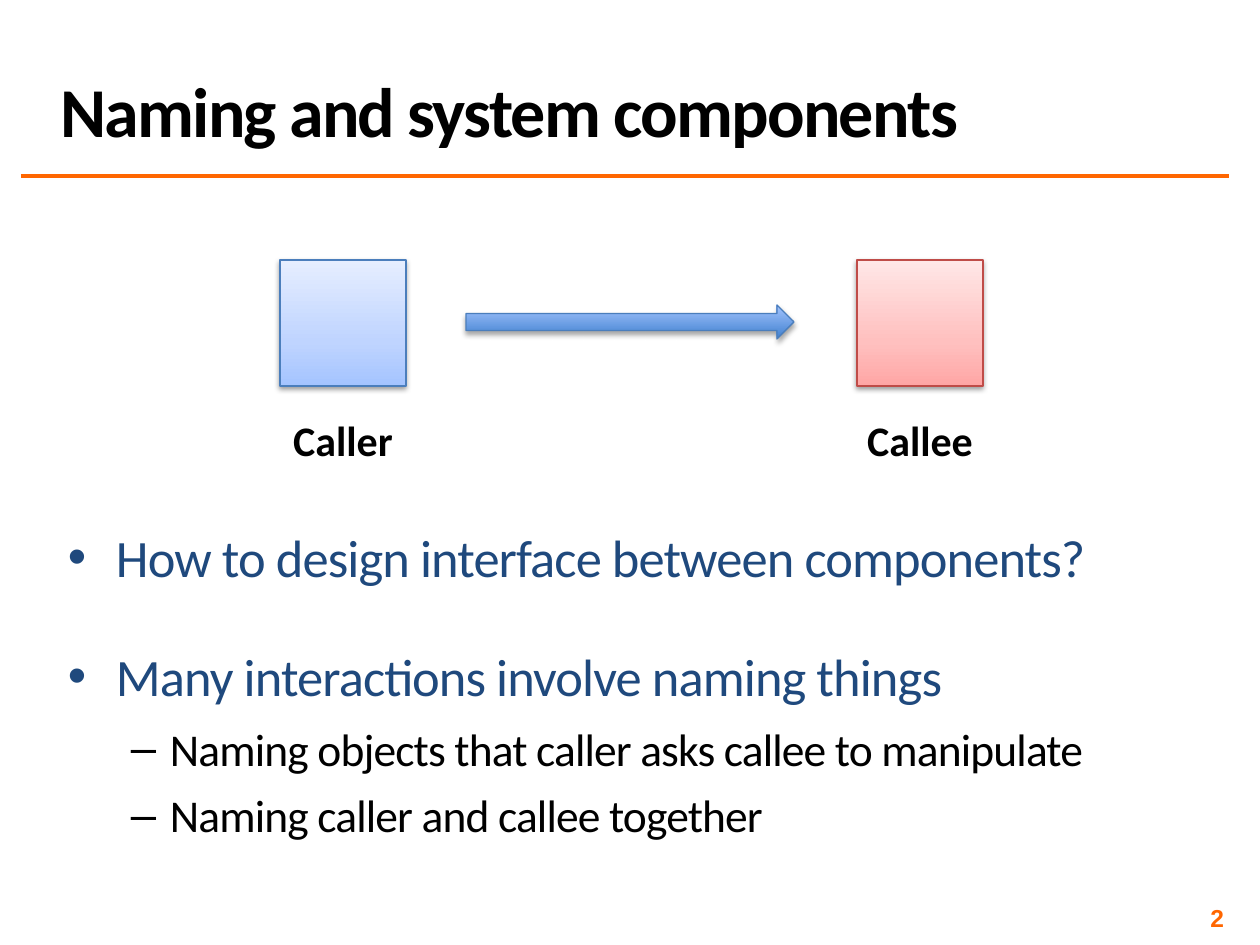
from lxml import etree
from pptx import Presentation
from pptx.dml.color import RGBColor
from pptx.enum.shapes import MSO_CONNECTOR, MSO_SHAPE
from pptx.enum.text import MSO_ANCHOR, PP_ALIGN
from pptx.oxml import parse_xml
from pptx.oxml.ns import qn
from pptx.util import Pt

LEFT, CENTER, RIGHT = PP_ALIGN.LEFT, PP_ALIGN.CENTER, PP_ALIGN.RIGHT
TOP, MIDDLE, BOTTOM = MSO_ANCHOR.TOP, MSO_ANCHOR.MIDDLE, MSO_ANCHOR.BOTTOM
RECTANGLE, RIGHT_ARROW = MSO_SHAPE.RECTANGLE, MSO_SHAPE.RIGHT_ARROW
NAMESPACE = 'xmlns:a="http://schemas.openxmlformats.org/drawingml/2006/main"'

EMU_PER_PX = 914400 // 126
SLIDE_SIZE = (1260, 945)
BLACK, NAVY, ORANGE = "000000", "1F497D", "FF6600"
BLUE_LINE, RED_LINE = "4B7EBC", "BF4C48"

TITLE = "Naming and system components"
SLIDE_NUMBER = "2"
# label, left edge, outline, gradient stops from bottom to top
COMPONENTS = [
    ("Caller", 280, BLUE_LINE, [(0, "A4C4FF"), (35, "BFD4FF"), (100, "E6EEFF")]),
    ("Callee", 857, RED_LINE, [(0, "FFA6A5"), (35, "FFC0BF"), (100, "FFE7E7")]),
]
COMPONENT_TOP, COMPONENT_SIDE = 260, 126
LABEL_TOP, LABEL_WIDTH, LABEL_HEIGHT = 408, 132, 63
ARROW_BOX = (466, 305, 328, 34)
ARROW_STOPS = [(0, "3F80CE"), (100, "A4C4FF")]

# text, level, line spacing
BULLETS = [
    ("How to design interface between components?", 0, 1.0),
    ("Many interactions involve naming things", 0, 1.5),
    ("Naming objects that caller asks callee to manipulate", 1, 1.0),
    ("Naming caller and callee together", 1, 0.9),
]
# px for indents, points for text and spacing
LEVELS = [
    dict(bullet="•", margin=48, hanging=48, size=30, color=NAVY, before=14, after=0),
    dict(bullet="–", margin=102, hanging=39, size=26, color=BLACK, before=8, after=2),
]


def px(length):
    return length * EMU_PER_PX


def rgb(color):
    return RGBColor.from_string(color)


def style_paragraph(paragraph, size, color, bold=False, font="Calibri", tracking=0):
    """Format every run; tracking is letter spacing in points."""
    for run in paragraph.runs:
        run.font.name = font
        run.font.size = Pt(size)
        run.font.bold = bold
        run.font.color.rgb = rgb(color)
        if tracking:
            run.font._element.set("spc", str(int(tracking * 100)))


def add_text_box(slide, box, anchor=TOP, inset=None, wrap=True):
    text_frame = slide.shapes.add_textbox(*map(px, box)).text_frame
    text_frame.word_wrap = wrap
    text_frame.vertical_anchor = anchor
    if inset is not None:
        text_frame.margin_left = text_frame.margin_right = px(inset)
        text_frame.margin_top = text_frame.margin_bottom = px(inset)
    return text_frame


def add_line_of_text(slide, text, box, size, color, align=LEFT, font="Calibri",
                     tracking=0, **frame_options):
    text_frame = add_text_box(slide, box, **frame_options)
    text_frame.text = text
    paragraph = text_frame.paragraphs[0]
    paragraph.alignment = align
    style_paragraph(paragraph, size, color, True, font, tracking)
    return paragraph


def add_gradient_shape(slide, kind, box, stops, outline, shadow_opacity, shadow_distance):
    """Add a shape with a bottom-to-top gradient and a soft shadow below it."""
    shape = slide.shapes.add_shape(kind, *map(px, box))
    shape.line.color.rgb = rgb(outline)
    shape.line.width = Pt(0.75)
    stop_list = "".join(
        f'<a:gs pos="{position * 1000}"><a:srgbClr val="{color}"/></a:gs>'
        for position, color in stops)
    properties = shape._element.spPr
    properties.find(qn("a:prstGeom")).addnext(parse_xml(
        f'<a:gradFill {NAMESPACE} rotWithShape="1"><a:gsLst>{stop_list}</a:gsLst>'
        '<a:lin ang="16200000" scaled="0"/></a:gradFill>'))
    properties.append(parse_xml(
        f'<a:effectLst {NAMESPACE}><a:outerShdw blurRad="{Pt(3.1)}" '
        f'dist="{Pt(shadow_distance)}" dir="5400000" rotWithShape="0">'
        f'<a:srgbClr val="{BLACK}"><a:alpha val="{shadow_opacity * 1000}"/></a:srgbClr>'
        '</a:outerShdw></a:effectLst>'))


def add_rule(slide, left, right, top):
    rule = slide.shapes.add_connector(
        MSO_CONNECTOR.STRAIGHT, px(left), px(top), px(right), px(top))
    rule.line.color.rgb = rgb(ORANGE)
    rule.line.width = Pt(2)
    etree.SubElement(rule._element.spPr, qn("a:effectLst"))


def add_bullets(slide, box):
    text_frame = add_text_box(slide, box, inset=5)
    for index, (text, level_number, spacing) in enumerate(BULLETS):
        level = LEVELS[level_number]
        paragraph = text_frame.add_paragraph() if index else text_frame.paragraphs[0]
        paragraph.text = text
        paragraph.level = level_number
        paragraph.line_spacing = spacing
        paragraph.space_before = Pt(level["before"] if index else 0)
        paragraph.space_after = Pt(level["after"])
        properties = paragraph._element.get_or_add_pPr()
        properties.set("marL", str(px(level["margin"])))
        properties.set("indent", str(-px(level["hanging"])))
        etree.SubElement(properties, qn("a:buFont"), typeface="Arial")
        etree.SubElement(properties, qn("a:buChar"), char=level["bullet"])
        style_paragraph(paragraph, level["size"], level["color"], tracking=-0.5)


def main():
    presentation = Presentation()
    presentation.slide_width, presentation.slide_height = map(px, SLIDE_SIZE)
    slide = presentation.slides.add_slide(presentation.slide_layouts[6])

    add_rule(slide, 21, 1229, 176)
    title = add_line_of_text(slide, TITLE, (48, 10, 1181, 147), 40, BLACK,
                             tracking=-1, anchor=BOTTOM)
    title.line_spacing = 0.8
    add_bullets(slide, (63, 520, 1197, 401))

    for label, left, outline, stops in COMPONENTS:
        box = (left, COMPONENT_TOP, COMPONENT_SIDE, COMPONENT_SIDE)
        add_gradient_shape(slide, RECTANGLE, box, stops, outline, 38, 1.6)
        label_left = left - (LABEL_WIDTH - COMPONENT_SIDE) // 2
        add_line_of_text(slide, label, (label_left, LABEL_TOP, LABEL_WIDTH, LABEL_HEIGHT),
                         24, BLACK, CENTER, wrap=False)
    add_gradient_shape(slide, RIGHT_ARROW, ARROW_BOX, ARROW_STOPS, BLUE_LINE, 35, 1.8)

    add_line_of_text(slide, SLIDE_NUMBER, (935, 903, 294, 29), 14, ORANGE, RIGHT,
                     font="Arial", anchor=MIDDLE, inset=5)
    presentation.save("out.pptx")


if __name__ == "__main__":
    main()
